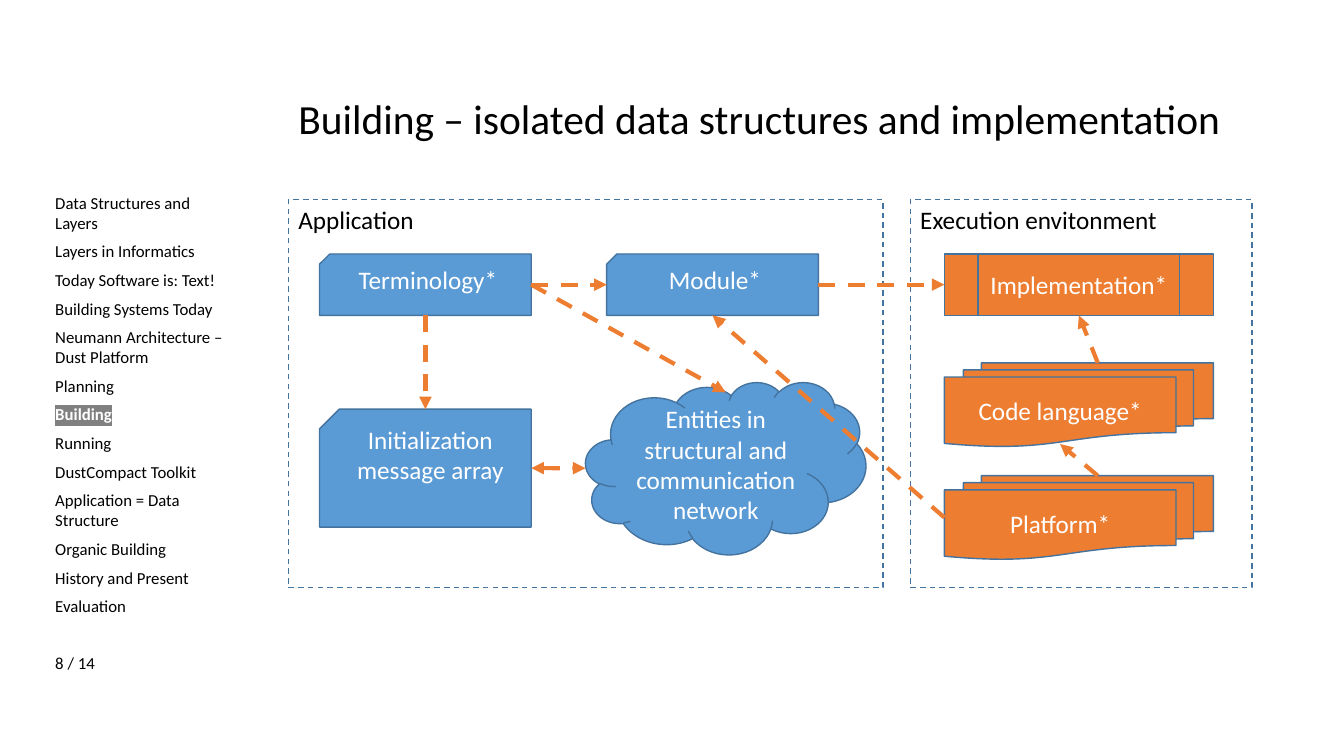
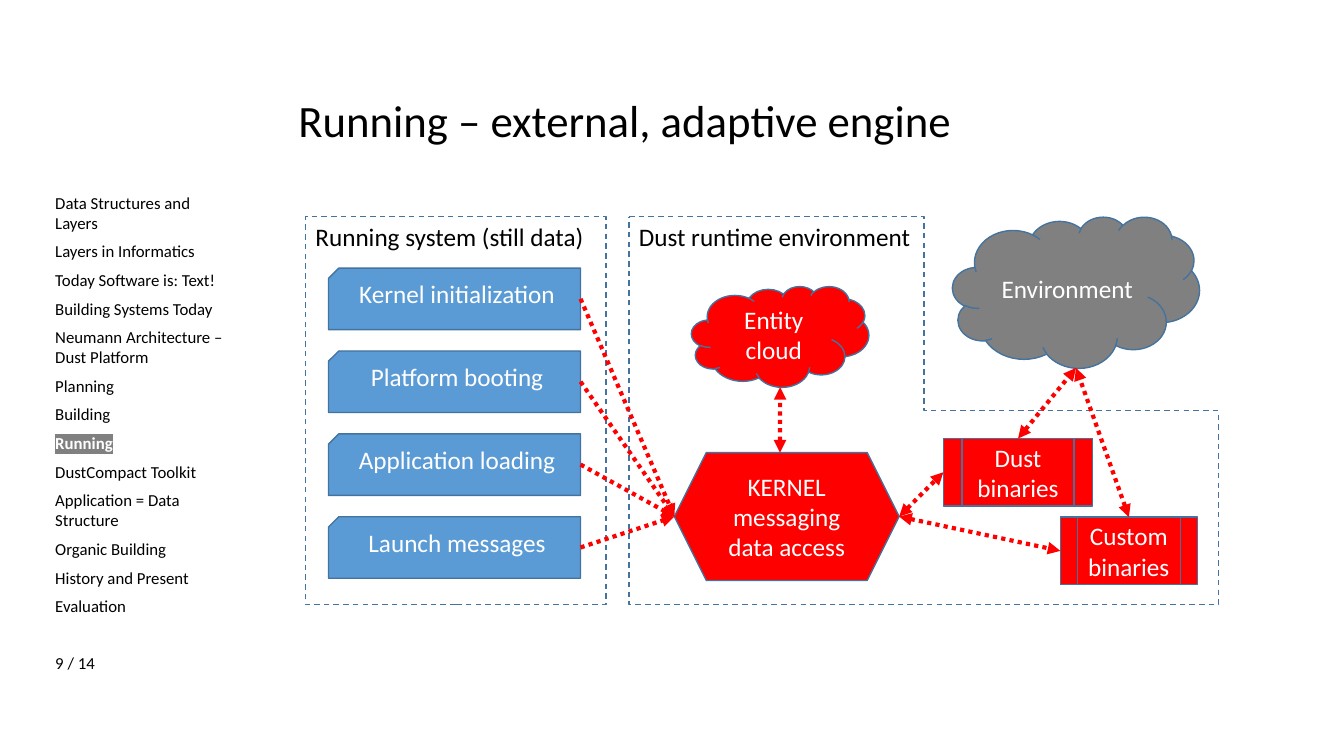
from lxml.etree import SubElement
from pptx import Presentation
from pptx.dml.color import RGBColor
from pptx.enum.dml import MSO_LINE
from pptx.enum.shapes import MSO_CONNECTOR, MSO_SHAPE
from pptx.enum.text import MSO_ANCHOR, PP_ALIGN
from pptx.oxml.ns import qn
from pptx.util import Pt

# Shared style
FONT = "Calibri"
BLACK, WHITE, GRAY = "000000", "FFFFFF", "808080"
BLUE, ORANGE, RED, OUTLINE = "5B9BD5", "ED7D31", "FF0000", "43739E"
PAGE_COUNT = 14
CARD_HEIGHT = 43.9
FRAME_HEIGHT = 277.2
TOPICS = [
    "Data Structures and Layers", "Layers in Informatics",
    "Today Software is: Text!", "Building Systems Today",
    "Neumann Architecture – Dust Platform", "Planning", "Building", "Running",
    "DustCompact Toolkit", "Application = Data Structure",
    "Organic Building", "History and Present", "Evaluation",
]

# Positions on a shape, as fractions of its width and height
TOP, BOTTOM, LEFT, RIGHT = (0.5, 0), (0.5, 1), (0, 0.5), (1, 0.5)


def color(value):
    return RGBColor.from_string(value)


def style_runs(paragraph, size, font_color, bold=False):
    for run in paragraph.runs:
        run.font.name = FONT
        run.font.size = Pt(size)
        run.font.bold = bold
        run.font.color.rgb = color(font_color)


def highlight(run, value):
    marker = SubElement(run.font.fill._xPr, qn("a:highlight"))
    SubElement(marker, qn("a:srgbClr")).set("val", value)
    run.font.fill._xPr.find(qn("a:solidFill")).addnext(marker)


def add_text(slide, box, text, size, wrap=True):
    shape = slide.shapes.add_textbox(*map(Pt, box))
    shape.text_frame.word_wrap = wrap
    shape.text_frame.text = text
    for paragraph in shape.text_frame.paragraphs:
        style_runs(paragraph, size, BLACK)
    return shape.text_frame


def add_block(slide, kind, box, text, fill, anchor=MSO_ANCHOR.MIDDLE,
              align=PP_ALIGN.CENTER, font_color=WHITE):
    shape = slide.shapes.add_shape(kind, *map(Pt, box))
    shape.shadow.inherit = False
    if fill:
        shape.fill.solid()
        shape.fill.fore_color.rgb = color(fill)
    else:
        shape.fill.background()
    shape.line.color.rgb = color(OUTLINE)
    shape.line.width = Pt(1)
    shape.text_frame.text = text
    shape.text_frame.vertical_anchor = anchor
    for paragraph in shape.text_frame.paragraphs:
        paragraph.alignment = align
        style_runs(paragraph, 18, font_color)
    return shape


def add_card(slide, box, text):
    """Blue card with its upper left corner cut off."""
    shape = add_block(slide, MSO_SHAPE.SNIP_1_RECTANGLE, box, text, BLUE,
                      MSO_ANCHOR.TOP)
    shape._element.spPr.find(qn("a:xfrm")).set("flipH", "1")
    return shape


def add_frame(slide, box, text, kind=MSO_SHAPE.RECTANGLE):
    """Dashed outline around a group of blocks."""
    shape = add_block(slide, kind, box, text, None, MSO_ANCHOR.TOP,
                      PP_ALIGN.LEFT, BLACK)
    shape.line.dash_style = MSO_LINE.DASH
    return shape


def point_on(shape, position):
    across, down = position
    return (int(shape.left + shape.width * across),
            int(shape.top + shape.height * down))


def add_arrow(slide, source, start, target, end, line_color, dash,
              both_ways=False):
    connector = slide.shapes.add_connector(
        MSO_CONNECTOR.STRAIGHT, *point_on(source, start), *point_on(target, end))
    connector.line.color.rgb = color(line_color)
    connector.line.width = Pt(3)
    connector.line.dash_style = dash
    properties = connector._element.spPr
    line = properties.find(qn("a:ln"))
    if both_ways:
        SubElement(line, qn("a:headEnd")).set("type", "triangle")
    SubElement(line, qn("a:tailEnd")).set("type", "triangle")
    SubElement(properties, qn("a:effectLst"))


def add_page(presentation, title, title_size, topic, number):
    """Blank slide with title, topic list and page number."""
    slide = presentation.slides.add_slide(presentation.slide_layouts[6])
    heading = add_text(slide, (206, 67, 694, 59.8), title, title_size)
    heading.paragraphs[0].line_spacing = 0.9

    lines = TOPICS + [f"{number} / {PAGE_COUNT}"]
    sidebar = add_text(slide, (32.4, 133.9, 141.1, 353.5), "\n".join(lines), 12)
    for paragraph in sidebar.paragraphs[1:]:
        paragraph.space_before = Pt(6)
    sidebar.paragraphs[-1].space_before = Pt(26.6)
    current = sidebar.paragraphs[TOPICS.index(topic)]
    style_runs(current, 12, WHITE, bold=True)
    highlight(current.runs[0], GRAY)
    return slide


def build_building(presentation):
    slide = add_page(presentation,
                     "Building – isolated data structures and implementation",
                     29.6, "Building", 8)
    # Application
    row_top, card_left, card_width = 181.4, 228.3, 151.2
    add_frame(slide, (206, 142.6, 424.8, FRAME_HEIGHT), "Application")
    terminology = add_card(
        slide, (card_left, row_top, card_width, CARD_HEIGHT), "Terminology*")
    module = add_card(
        slide, (433.4, row_top, card_width, CARD_HEIGHT), "Module*")
    messages = add_card(
        slide, (card_left, 292.3, card_width, 84.2), "Initialization message array")
    entities = add_block(
        slide, MSO_SHAPE.CLOUD, (418.3, 272.9, 200.2, 123.1),
        "Entities in structural and communication network", BLUE)

    # Execution environment
    stack_left, stack_width, stack_height = 674.6, 192.2, 59.8
    add_frame(slide, (650.2, 142.6, 244.1, FRAME_HEIGHT), "Execution envitonment")
    implementation = add_block(
        slide, MSO_SHAPE.FLOWCHART_PREDEFINED_PROCESS,
        (stack_left, row_top, stack_width, CARD_HEIGHT), "Implementation*", ORANGE)
    language, platform = [
        add_block(slide, MSO_SHAPE.FLOWCHART_MULTIDOCUMENT,
                  (stack_left, top, stack_width, stack_height), text, ORANGE)
        for top, text in [(259.2, "Code language*"), (339.8, "Platform*")]]

    # Arrows
    stack_top, stack_bottom = (0.57, 0), (0.43, 0.97)
    for link in [
        (terminology, RIGHT, module, LEFT),
        (platform, LEFT, module, BOTTOM),
        (module, RIGHT, implementation, LEFT),
        (platform, stack_top, language, stack_bottom),
        (language, stack_top, implementation, BOTTOM),
        (terminology, RIGHT, entities, (0.5, 0.06)),
        (terminology, BOTTOM, messages, TOP),
    ]:
        add_arrow(slide, *link, ORANGE, MSO_LINE.DASH)
    add_arrow(slide, messages, RIGHT, entities, LEFT, ORANGE, MSO_LINE.DASH, True)


def build_running(presentation):
    slide = add_page(presentation, "Running – external, adaptive engine",
                     32, "Running", 9)
    # Running system
    frame_top = 154.8
    add_frame(slide, (218.2, frame_top, 214.6, FRAME_HEIGHT),
              "Running system (still data)")
    steps = ["Kernel initialization", "Platform booting",
             "Application loading", "Launch messages"]
    cards = [add_card(slide, (234.7, 191.5 + 59.2 * row, 180, CARD_HEIGHT), text)
             for row, text in enumerate(steps)]

    # Runtime environment
    runtime_left = 449.3
    runtime = add_frame(slide, (runtime_left, frame_top, 421.2, FRAME_HEIGHT), "",
                        MSO_SHAPE.CORNER)
    runtime.adjustments[0] = 0.5
    runtime.adjustments[1] = 0.76
    add_text(slide, (runtime_left, frame_top, 211, 28.8),
             "Dust runtime environment", 18, wrap=False)
    cloud = add_block(slide, MSO_SHAPE.CLOUD, (493.9, 204.5, 126.7, 72),
                      "Entity cloud", RED)
    kernel = add_block(slide, MSO_SHAPE.HEXAGON, (481.7, 323.3, 160.6, 91.4),
                       "KERNEL messaging\ndata access", RED)
    dust, custom = [
        add_block(slide, MSO_SHAPE.FLOWCHART_PREDEFINED_PROCESS, box, text, RED)
        for box, text in [((673.9, 313.2, 106.6, 48.2), "Dust binaries"),
                          ((757.4, 369.4, 97.9, 48.2), "Custom binaries")]]
    environment = add_block(slide, MSO_SHAPE.CLOUD,
                            (680.4, frame_top, 176.4, 108), "Environment", GRAY)

    # Arrows
    for card in cards:
        add_arrow(slide, card, RIGHT, kernel, LEFT, RED, MSO_LINE.ROUND_DOT)
    for link in [
        (kernel, (0.47, 0), cloud, BOTTOM),
        (kernel, RIGHT, dust, LEFT),
        (kernel, RIGHT, custom, LEFT),
        (dust, TOP, environment, BOTTOM),
        (custom, TOP, environment, BOTTOM),
    ]:
        add_arrow(slide, *link, RED, MSO_LINE.ROUND_DOT, True)


def main():
    presentation = Presentation()
    presentation.slide_width = Pt(960)
    presentation.slide_height = Pt(540)
    build_building(presentation)
    build_running(presentation)
    presentation.save("out.pptx")


if __name__ == "__main__":
    main()
